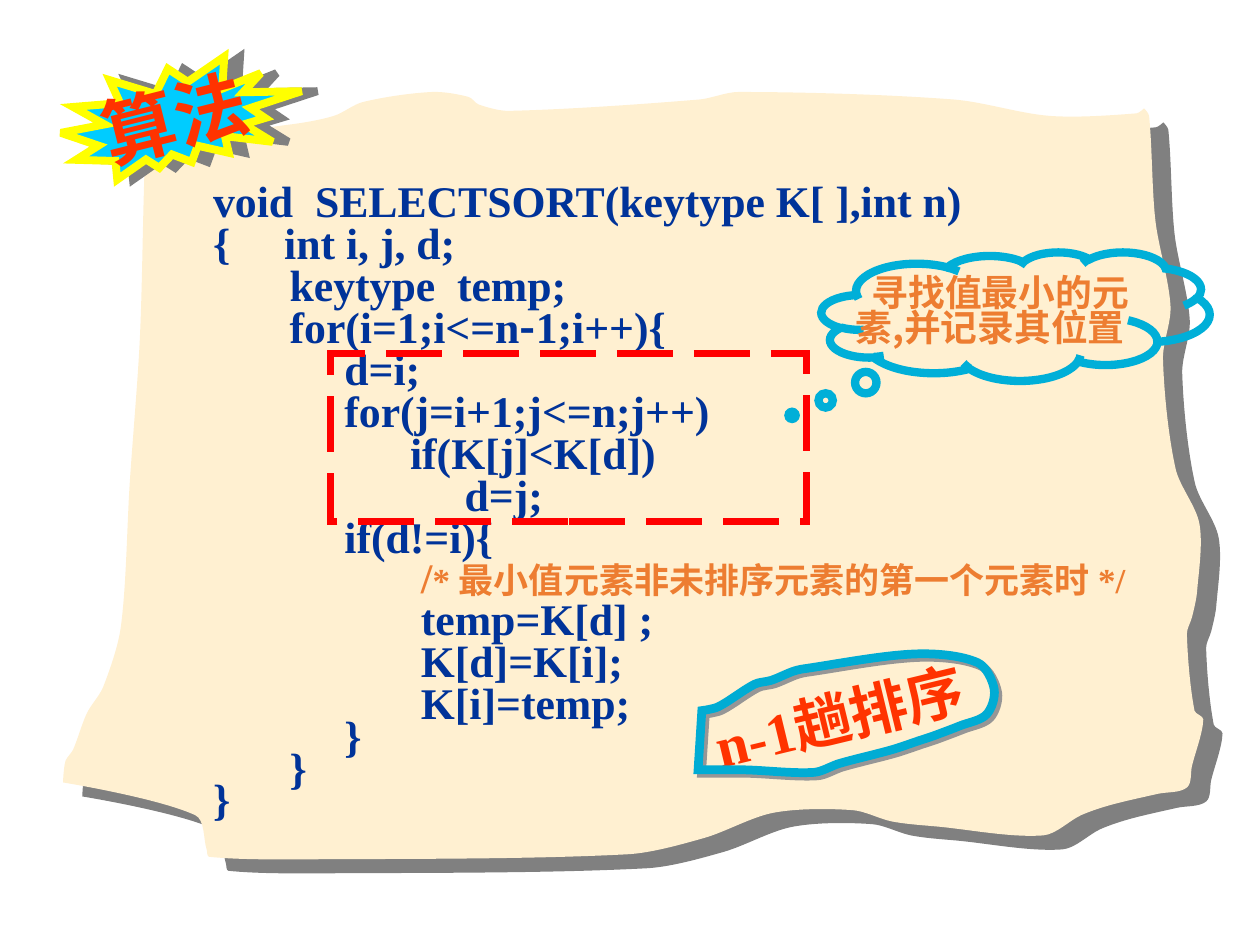
from dataclasses import dataclass
from math import hypot

from lxml.etree import SubElement
from pptx import Presentation
from pptx.dml.color import RGBColor
from pptx.enum.dml import MSO_LINE
from pptx.enum.shapes import MSO_SHAPE
from pptx.enum.text import MSO_AUTO_SIZE
from pptx.oxml.ns import qn
from pptx.util import Inches, Pt


@dataclass(frozen=True)
class Theme:
    latin: str = "Times New Roman"
    chinese: str = "Noto Sans CJK SC"
    paper: str = "FFF0D1"
    code: str = "003399"
    comment: str = "ED7D31"
    title: str = "FF3300"
    frame: str = "FF0000"
    cloud: str = "00AFD8"
    band: str = "00ACD4"
    burst: str = "00CCFF"
    burst_edge: str = "FFFF00"
    shade: str = "808080"
    band_shade: str = "969696"
    code_size: float = 25
    slash_size: float = 24
    comment_size: float = 20
    cloud_size: float = 21
    title_size: float = 42
    pass_size: float = 33


THEME = Theme()
SPACE = THEME.code_size / 4 / 72  # width of one code column, in inches

# Outlines, in inches from the corner of their box
PAPER_EDGE = [
    (1.79, .26), (2.15, .19), (2.38, .08), (2.93, 0), (3.22, .04), (3.3, .1),
    (3.54, .15), (5.05, .06), (5.36, 0), (7.07, .06), (7.83, .19), (8.52, .17),
    (8.58, .13), (8.62, .19), (8.67, 1.02), (8.79, 1.7), (8.73, 2.12),
    (8.83, 2.99), (9.02, 3.43), (9, 3.97), (8.96, 4.17), (8.92, 4.3),
    (8.98, 4.91), (9.05, 4.98), (8.96, 5.35), (8.92, 5.52), (8.69, 5.57),
    (8.31, 5.66), (8.08, 5.74), (7.78, 5.9), (6.94, 5.83), (6.58, 5.79),
    (6.27, 5.7), (5.64, 5.72), (5.09, 5.92), (4.48, 6.05), (1.91, 6.09),
    (1.16, 6.07), (1.14, 6.01), (1.05, 5.74), (0, 5.48), (.02, 5.31),
    (.08, 5.22), (.19, 4.93), (.32, 4.72), (.46, 4.24), (.53, 3.1),
    (.61, 1.96), (.67, .17), (.74, .15), (1.35, .17), (1.41, .28)]
BAND_EDGE = [
    (.2, .5), (.49, .32), (.62, .29), (.79, .22), (.87, .2), (1.77, .08),
    (2.26, .15), (2.39, .36), (2.33, .56), (2.12, .65), (1.91, .73),
    (1.79, .77), (1.58, .84), (1.16, .95), (.96, 1.02), (.41, 1), (.04, 1),
    (.07, .53)]

# (columns of indent, line spacing, text)
CODE = [
    (2, .75, "void  SELECTSORT(keytype K[ ],int n)"),
    (2, .8, "{\tint i, j, d;"),
    (9, .8, "keytype  temp;"),
    (9, .8, "for(i=1;i<=n-1;i++){"),
    (14, .8, "d=i;"),
    (14, .8, "for(j=i+1;j<=n;j++)"),
    (20, .8, "if(K[j]<K[d])"),
    (25, .8, "d=j;"),
    (14, .8, "if(d!=i){"),
    (21, .8, "/* 最小值元素非未排序元素的第一个元素时 */"),
    (21, .8, "temp=K[d] ;"),
    (21, .8, "K[d]=K[i];"),
    (21, .8, "K[i]=temp;"),
    (14, .6, "}"),
    (9, .6, "}"),
    (2, .6, "}")]
DECLARATION_COLUMN = 8.5


def color(value):
    return RGBColor.from_string(value)


def paint(shape, fill=None, line=None, width=0):
    shape.shadow.inherit = False
    if fill:
        shape.fill.solid()
        shape.fill.fore_color.rgb = color(fill)
    else:
        shape.fill.background()
    if line:
        shape.line.color.rgb = color(line)
        shape.line.width = Pt(width)
        stroke = shape._element.spPr.find(qn("a:ln"))
        SubElement(stroke, qn("a:miter"), lim="800000")
    else:
        shape.line.fill.background()


def cast_shadow(shape, shade, distance, angle):
    effects = shape._element.spPr.find(qn("a:effectLst"))
    outer = SubElement(effects, qn("a:outerShdw"), dist=str(Pt(distance)),
                       dir=str(angle * 60000), algn="ctr", rotWithShape="0")
    SubElement(outer, qn("a:srgbClr"), val=shade)


def tangent(before, point, after):
    """Direction of the curve at a point, or none at a sharp corner."""
    (ax, ay), (px, py), (bx, by) = before, point, after
    turn = (px - ax) * (bx - px) + (py - ay) * (by - py)
    if turn < 0.3 * hypot(px - ax, py - ay) * hypot(bx - px, by - py):
        return 0, 0
    length = hypot(bx - ax, by - ay)
    return (bx - ax) / length, (by - ay) / length


def add_outline(slide, left, top, edge):
    """Draw a closed outline with one cubic curve between each two points."""
    points = [(Inches(left + x), Inches(top + y)) for x, y in edge]
    count = len(points)
    builder = slide.shapes.build_freeform(*points[0])
    builder.add_line_segments(points[1:] + points[:1], close=True)
    outline = builder.convert_to_shape()
    tangents = [tangent(points[i - 1], points[i], points[(i + 1) % count])
                for i in range(count)]
    segments = list(outline._element.spPr.iter(qn("a:lnTo")))
    for i, segment in enumerate(segments):
        j = (i + 1) % count
        (ax, ay), (bx, by) = points[i], points[j]
        (adx, ady), (bdx, bdy) = tangents[i], tangents[j]
        reach = hypot(bx - ax, by - ay) * 0.3
        segment.tag = qn("a:cubicBezTo")
        for child in list(segment):
            segment.remove(child)
        for x, y in ((ax + reach * adx, ay + reach * ady),
                     (bx - reach * bdx, by - reach * bdy), (bx, by)):
            SubElement(segment, qn("a:pt"), x=str(round(x - outline.left)),
                       y=str(round(y - outline.top)))
    return outline


def add_text_frame(slide, left, top, width, height, rotation=0):
    label = slide.shapes.add_textbox(*map(Inches, (left, top, width, height)))
    label.rotation = rotation
    frame = label.text_frame
    frame.word_wrap = True
    frame.auto_size = MSO_AUTO_SIZE.SHAPE_TO_FIT_TEXT
    return frame


def add_run(paragraph, text, size, ink, latin=THEME.latin):
    run = paragraph.add_run()
    run.text = text
    font = run.font
    font.size, font.bold, font.name = Pt(size), True, latin
    font.color.rgb = color(ink)
    SubElement(run._r.get_or_add_rPr(), qn("a:ea"), typeface=THEME.chinese)


def indent(paragraph, margin, first=0):
    properties = paragraph._p.get_or_add_pPr()
    properties.set("marL", str(Inches(margin)))
    properties.set("indent", str(Inches(first)))


def next_paragraph(frame, index):
    return frame.add_paragraph() if index else frame.paragraphs[0]


def add_paper(slide, left, top):
    paper = add_outline(slide, left, top, PAPER_EDGE)
    paint(paper, THEME.paper)
    cast_shadow(paper, THEME.shade, 13.6, 36)


def add_code(slide, left, top, width, height):
    frame = add_text_frame(slide, left, top, width, height)
    for index, (columns, spacing, text) in enumerate(CODE):
        line = next_paragraph(frame, index)
        line.line_spacing = spacing
        if "\t" in text:  # hanging indent carries the tab
            indent(line, DECLARATION_COLUMN * SPACE,
                   (columns - DECLARATION_COLUMN) * SPACE)
        else:
            indent(line, columns * SPACE)
        if text.startswith("/*"):
            add_run(line, text[0], THEME.slash_size, THEME.comment)
            add_run(line, text[1:], THEME.comment_size, THEME.comment)
        else:
            before, minus, after = text.partition("-")
            add_run(line, before, THEME.code_size, THEME.code)
            if minus:
                add_run(line, minus, THEME.code_size, THEME.code, THEME.chinese)
                add_run(line, after, THEME.code_size, THEME.code)


def add_search_note(slide, left, top, width, height):
    # Dashed frame around the inner loop
    frame = slide.shapes.add_shape(MSO_SHAPE.RECTANGLE, *map(
        Inches, (left, top + 0.81, 3.78, 1.33)))
    paint(frame, line=THEME.frame, width=4)
    frame.line.dash_style = MSO_LINE.LONG_DASH
    # Thought cloud at the right end of the box
    cloud_left = left + width - 3.08
    cloud = slide.shapes.add_shape(MSO_SHAPE.CLOUD_CALLOUT, *map(
        Inches, (cloud_left, top, 3.08, height)))
    cloud.adjustments[0], cloud.adjustments[1] = -0.576, 0.771
    paint(cloud, line=THEME.cloud, width=4.75)
    note = add_text_frame(slide, cloud_left + 0.17, top + 0.16, 2.64, 0.66)
    for index, (margin, text) in enumerate(
            [(0.13, "寻找值最小的元"), (0, "素,并记录其位置")]):
        line = next_paragraph(note, index)
        line.line_spacing = 0.8
        indent(line, margin)
        add_run(line, text, THEME.cloud_size, THEME.comment, THEME.chinese)


def add_title_burst(slide, left, top, width, height):
    burst = slide.shapes.add_shape(MSO_SHAPE.EXPLOSION2, *map(
        Inches, (left, top, width, height)))
    burst.rotation = 358.3
    paint(burst, THEME.burst, THEME.burst_edge, 4.5)
    cast_shadow(burst, THEME.shade, 9, 0)
    title = add_text_frame(slide, left + 0.22, top + 0.03, 1.7, 0.8, 345.9)
    add_run(title.paragraphs[0], "算法", THEME.title_size, THEME.title)


def add_pass_count(slide, left, top):
    label = add_text_frame(slide, left + 0.05, top + 0.18, 2.83, 0.65, 346.4)
    line = label.paragraphs[0]
    add_run(line, "n-1", THEME.pass_size, THEME.title)
    add_run(line, "趟排序", THEME.pass_size, THEME.title, THEME.chinese)
    band = add_outline(slide, left, top, BAND_EDGE)
    paint(band, line=THEME.band, width=5)
    cast_shadow(band, THEME.band_shade, 2.8, 45)


def main():
    deck = Presentation()
    deck.slide_width, deck.slide_height = Inches(10), Inches(7.5)
    slide = deck.slides.add_slide(deck.slide_layouts[6])
    add_paper(slide, 0.5, 0.73)
    add_code(slide, 1.42, 1.43, 8.17, 5.15)
    add_search_note(slide, 2.62, 2, 6.98, 1.02)
    add_title_burst(slide, 0.48, 0.46, 1.92, 0.95)
    add_pass_count(slide, 5.5, 5.11)
    deck.save("out.pptx")


if __name__ == "__main__":
    main()
